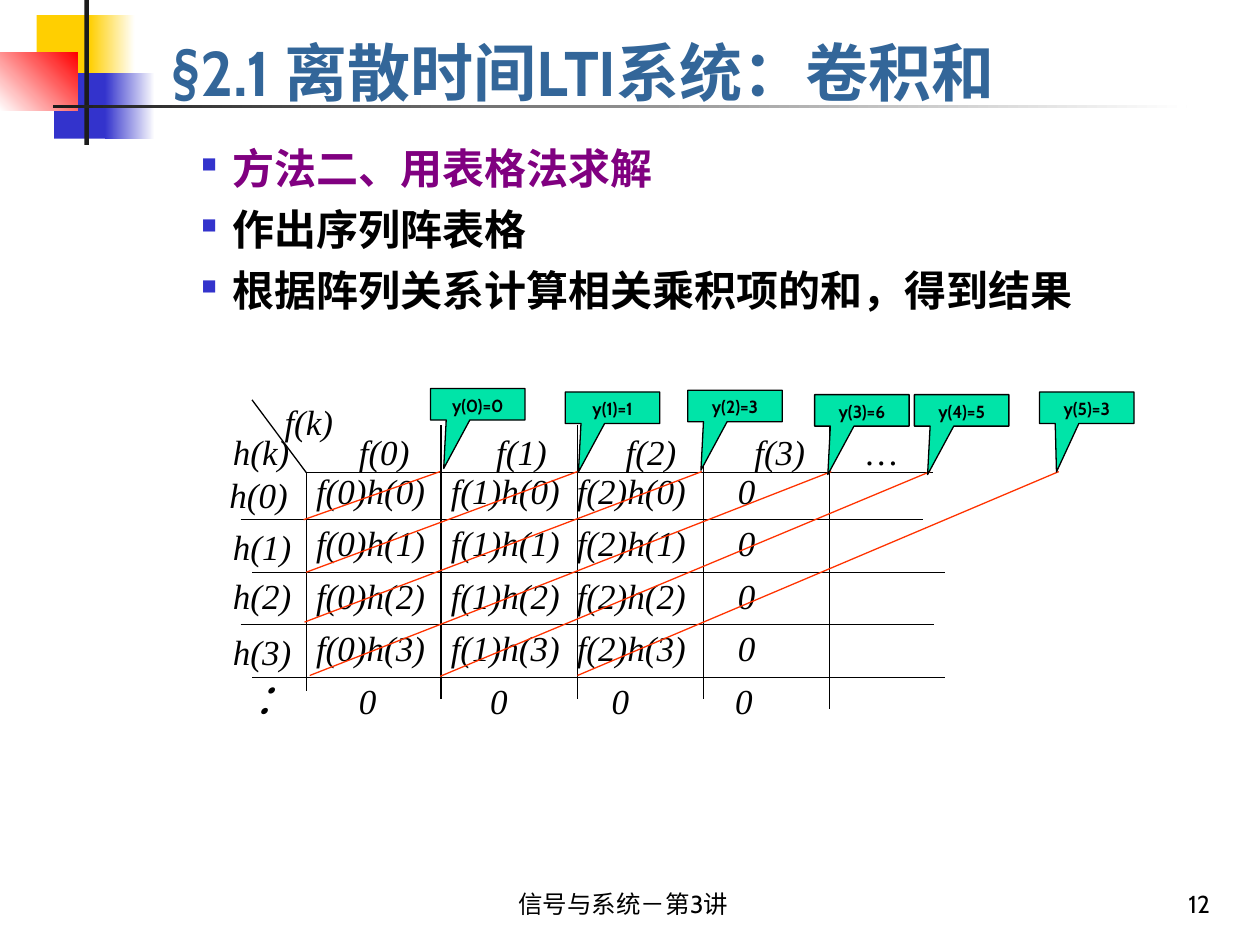
from lxml.etree import SubElement
from pptx import Presentation
from pptx.dml.color import RGBColor
from pptx.enum.shapes import MSO_CONNECTOR, MSO_SHAPE
from pptx.enum.text import MSO_ANCHOR, PP_ALIGN
from pptx.oxml.ns import qn
from pptx.util import Pt

BLACK = RGBColor(0x00, 0x00, 0x00)
WHITE = RGBColor(0xFF, 0xFF, 0xFF)
CHARCOAL = RGBColor(0x1C, 0x1C, 0x1C)
YELLOW = RGBColor(0xFF, 0xCF, 0x01)
BLUE = RGBColor(0x33, 0x33, 0xCC)
RED = RGBColor(0xFF, 0x00, 0x00)
TITLE_BLUE = RGBColor(0x33, 0x66, 0x99)
PURPLE = RGBColor(0x80, 0x00, 0x80)
GREEN = RGBColor(0x00, 0xE4, 0xA8)
ORANGE = RGBColor(0xFF, 0x33, 0x00)

SANS = "Cabin"
SERIF = "Times New Roman"
CJK = "Noto Sans CJK SC"

ROW_TOP = 297
ROW_STEP = 30


def add_tabs(para, stops):
    tab_list = SubElement(para._p.get_or_add_pPr(), qn("a:tabLst"))
    for stop in stops:
        SubElement(tab_list, qn("a:tab"), pos=str(Pt(stop)), algn="l")


def add_bullet(para, color):
    properties = para._p.get_or_add_pPr()
    properties.set("marL", str(Pt(90)))
    properties.set("indent", str(Pt(-18)))
    bullet_color = SubElement(properties, qn("a:buClr"))
    SubElement(bullet_color, qn("a:srgbClr"), val=str(color))
    SubElement(properties, qn("a:buSzPct"), val="50000")
    SubElement(properties, qn("a:buChar"), char="■")


def write(para, text, size=20, name=SERIF, color=BLACK, bold=False,
          italic=False, align=PP_ALIGN.LEFT):
    para.alignment = align
    span = para.add_run()
    span.text = text
    font = span.font
    font.size, font.name = Pt(size), name
    font.bold, font.italic = bold, italic
    font.color.rgb = color


def add_text(page, text, left, top, width, height=32, tabs=(),
             anchor=MSO_ANCHOR.TOP, **style):
    box = page.shapes.add_textbox(Pt(left), Pt(top), Pt(width), Pt(height))
    frame = box.text_frame
    frame.word_wrap = True
    frame.vertical_anchor = anchor
    para = frame.paragraphs[0]
    if tabs:
        add_tabs(para, tabs)
    write(para, text, **style)


def add_bullets(page, items, left, top, width, height):
    box = page.shapes.add_textbox(Pt(left), Pt(top), Pt(width), Pt(height))
    frame = box.text_frame
    frame.word_wrap = True
    for index, (text, color) in enumerate(items):
        para = frame.add_paragraph() if index else frame.paragraphs[0]
        add_bullet(para, BLUE)
        if index:
            para.space_before = Pt(6)
        write(para, text, size=24, name=SANS, color=color, bold=True)


def add_block(page, left, top, width, height, color, fade_to=None, angle=0):
    block = page.shapes.add_shape(
        MSO_SHAPE.RECTANGLE, Pt(left), Pt(top), Pt(width), Pt(height))
    block.shadow.inherit = False
    block.line.fill.background()
    if fade_to is None:
        block.fill.solid()
        block.fill.fore_color.rgb = color
        return
    block.fill.gradient()
    block.fill.gradient_angle = angle
    for stop, stop_color in zip(block.fill.gradient_stops, (color, fade_to)):
        stop.color.rgb = stop_color


def add_line(page, x1, y1, x2, y2, color=BLACK):
    line = page.shapes.add_connector(
        MSO_CONNECTOR.STRAIGHT, Pt(x1), Pt(y1), Pt(x2), Pt(y2))
    line.line.color.rgb = color
    line.line.width = Pt(0.75)
    SubElement(line._element.spPr, qn("a:effectLst"))


def add_callout(page, text, left, top, pointer):
    callout = page.shapes.add_shape(
        MSO_SHAPE.RECTANGULAR_CALLOUT, Pt(left), Pt(top), Pt(54), Pt(18))
    callout.shadow.inherit = False
    callout.adjustments[0] = pointer
    callout.adjustments[1] = 2.04
    callout.fill.solid()
    callout.fill.fore_color.rgb = GREEN
    callout.line.color.rgb = BLACK
    callout.line.width = Pt(0.75)
    frame = callout.text_frame
    frame.word_wrap = True
    frame.vertical_anchor = MSO_ANCHOR.TOP
    write(frame.paragraphs[0], text, size=10, name=SANS, bold=True,
          align=PP_ALIGN.CENTER)


def add_decoration(page):
    add_block(page, 20.9, 8.6, 34.6, 37.4, YELLOW)
    add_block(page, 51.1, 8.6, 25.9, 37.4, YELLOW, WHITE)
    add_block(page, 31, 41.8, 33.1, 37.4, BLUE)
    add_block(page, 59.8, 41.8, 28.8, 37.4, BLUE, WHITE)
    add_block(page, 0, 30.2, 44.4, 33.1, WHITE, RED, angle=45)
    add_block(page, 48.2, 0, 2.6, 82.8, CHARCOAL)
    add_block(page, 30.2, 59.8, 648, 2.2, CHARCOAL, WHITE)


def add_grid(page):
    add_line(page, 144, 228.5, 175, 270)
    add_line(page, 175, 270, 533, 270)
    for x, top, bottom in ((175, 270, 395), (252, 243, 399.5), (330, 243, 399.5),
                           (402, 243, 399.5), (474, 243, 405)):
        add_line(page, x, top, x, bottom)
    for row, (left, right) in enumerate(
            ((137.5, 527.5), (144, 540), (137.5, 533.5), (144, 540))):
        y = ROW_TOP + ROW_STEP * row
        add_line(page, left, y, right, y)


def add_terms(page):
    add_text(page, "f(k)", 155.5, 225.5, 60, italic=True)
    add_text(page, "h(k)\tf(0)\tf(1)\tf(2)\tf(3)\t…", 126, 242.5, 432,
             tabs=(72, 150.5, 224.5, 298, 362), italic=True)
    labels = ((124, 267), (126, 296.5), (126, 324.5), (126, 357))
    for row, (left, top) in enumerate(labels):
        add_text(page, f"h({row})", left, top, 60, italic=True)
        products = [f"f({column})h({row})" for column in range(3)]
        add_text(page, "\t".join(products + ["0"]), 173.5, 264.5 + ROW_STEP * row,
                 350, tabs=(77, 149, 241), italic=True)
    add_text(page, "：", 137.5, 381, 40, 40, size=24, name=CJK, italic=True)
    add_text(page, "0\t0\t0\t0", 198, 384.5, 330, tabs=(75, 144.5, 215),
             italic=True)


def add_sums(page):
    diagonals = ((173.5, 297, 251.5), (175, 327, 330), (174, 355.5, 401),
                 (177, 386, 475), (251.5, 386.5, 531.5), (330, 386, 605))
    for left, bottom, right in diagonals:
        add_line(page, left, bottom, right, 269.5, ORANGE)
    callouts = ((0, 246, 222), (1, 323, 224), (3, 393, 223),
                (6, 465.5, 225.5), (5, 522.5, 225.5), (3, 594, 224))
    for index, (total, left, top) in enumerate(callouts):
        pointer = -0.32 if index == 5 else -0.36
        add_callout(page, f"y({index})={total}", left, top, pointer)


def main():
    deck = Presentation()
    deck.slide_width, deck.slide_height = Pt(720), Pt(540)
    page = deck.slides.add_slide(deck.slide_layouts[6])
    add_decoration(page)
    add_text(page, "信号与系统－第3讲", 200, 499, 312, 29.5, size=14, name=SANS,
             anchor=MSO_ANCHOR.BOTTOM, align=PP_ALIGN.CENTER)
    add_text(page, "12", 528, 498, 170.5, 30.5, size=14, name=SANS,
             anchor=MSO_ANCHOR.BOTTOM, align=PP_ALIGN.RIGHT)
    add_text(page, "§2.1 离散时间LTI系统：卷积和", 90.7, 16.6, 613.5, 49,
             size=36, name=SANS, color=TITLE_BLUE, bold=True,
             anchor=MSO_ANCHOR.BOTTOM)
    add_bullets(page, (("方法二、用表格法求解", PURPLE),
                       ("作出序列阵表格", BLACK),
                       ("根据阵列关系计算相关乘积项的和，得到结果", BLACK)),
                36, 77.8, 669, 420)
    add_grid(page)
    add_terms(page)
    add_sums(page)
    deck.save("out.pptx")


if __name__ == "__main__":
    main()
